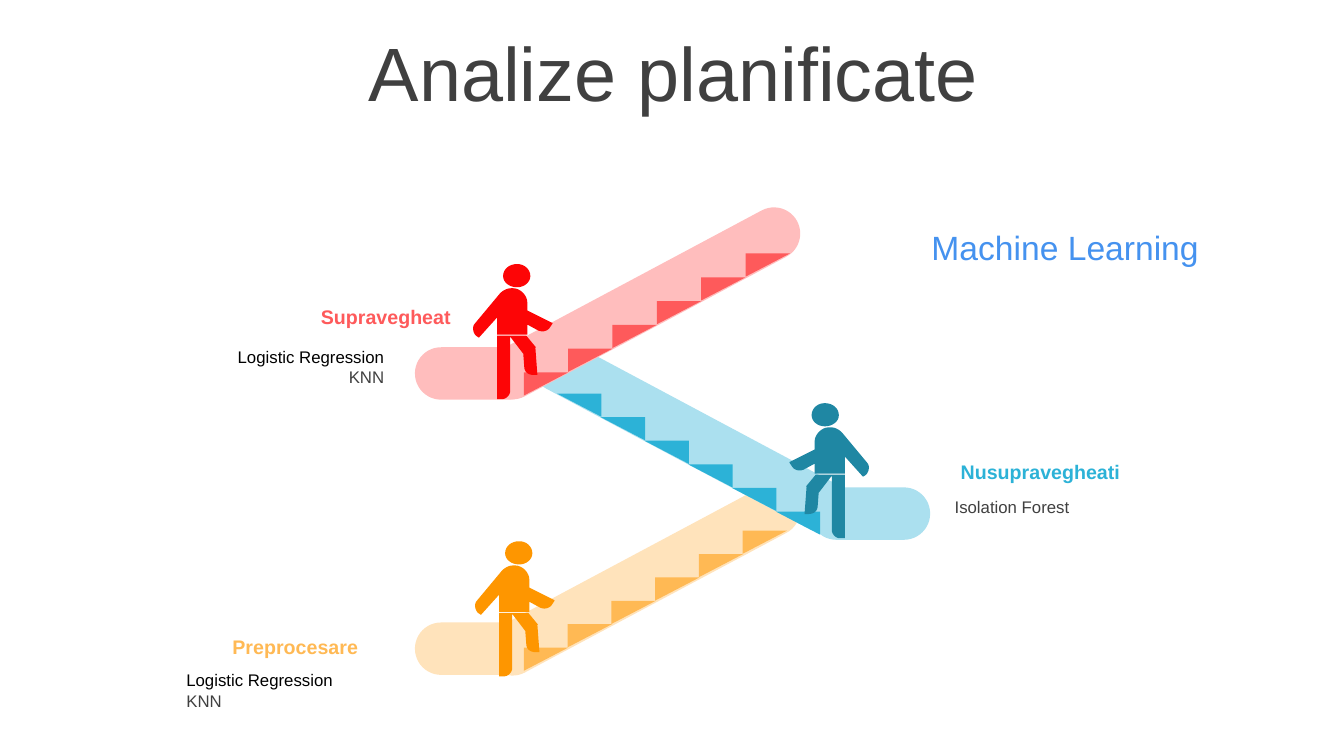
from pptx import Presentation
from pptx.dml.color import RGBColor
from pptx.enum.shapes import MSO_SHAPE
from pptx.enum.text import MSO_ANCHOR, PP_ALIGN
from pptx.util import Pt

SCALE = 9144
STEPS = 6
FIGURE_WIDTH = 79

# Each contour lists a start, then lines (x, y) and cubic curves (six numbers).
LEGS = [(24, 71), (53, 71), (62, 82), (63, 82, 62, 83, 62, 83), (64, 110),
        (60, 110), (55, 110, 51, 107, 51, 102), (50, 89), (37, 72),
        (37, 126), (37, 130, 33, 134, 29, 134), (24, 134)]
TORSO = [(38, 24), (40, 24), (47, 24, 54, 31, 54, 38), (54, 46), (78, 58),
         (79, 58, 79, 59, 79, 59), (77, 62), (75, 66, 70, 68, 65, 66),
         (54, 60), (54, 70), (24, 70), (24, 53), (6, 73), (3, 71),
         (0, 68, -1, 62, 2, 59), (27, 29), (30, 26, 34, 24, 38, 24)]
HEAD = [(44, 0), (51, 0, 57, 5, 57, 12), (57, 18, 51, 23, 44, 23),
        (36, 23, 30, 18, 30, 12), (30, 5, 36, 0, 44, 0)]


def px(n):
    """Turn px into EMU."""
    return round(n * SCALE)


def color(value):
    """Turn a hex string into a colour."""
    return RGBColor.from_string(value)


def flatten(contour, parts=8):
    """Return the points of a contour with its curves sampled."""
    points = [contour[0]]
    for seg in contour[1:]:
        if len(seg) == 2:
            points.append(seg)
            continue
        ctrl = [points[-1], seg[:2], seg[2:4], seg[4:]]
        for i in range(1, parts + 1):
            t = i / parts
            w = ((1 - t) ** 3, 3 * t * (1 - t) ** 2, 3 * t * t * (1 - t), t ** 3)
            points.append(tuple(sum(k * c[axis] for k, c in zip(w, ctrl))
                                for axis in (0, 1)))
    return points


class Deck:
    """Hold the style and the current slide."""

    font = "Arial"
    dark = "404040"

    def __init__(self, width, height):
        """Open a blank slide of the given size."""
        self.prs = Presentation()
        self.prs.slide_width, self.prs.slide_height = px(width), px(height)
        self.s = self.prs.slides.add_slide(self.prs.slide_layouts[6])

    def paint(self, sp, fill):
        """Give a shape a plain fill."""
        sp.shadow.inherit = False
        sp.fill.solid()
        sp.fill.fore_color.rgb = color(fill)
        sp.line.fill.background()

    def shape(self, kind, box, fill, rotation=0, flip=False):
        """Add a turned preset shape."""
        sp = self.s.shapes.add_shape(kind, *map(px, box))
        sp.rotation = rotation
        if flip:
            sp._element.spPr.xfrm.set("flipH", "1")
        self.paint(sp, fill)
        return sp

    def bar(self, box, fill, rotation):
        """Add a bar with fully round ends."""
        sp = self.shape(MSO_SHAPE.ROUNDED_RECTANGLE, box, fill, rotation)
        sp.adjustments[0] = 0.5

    def flight(self, landing, ramp, first, last, pale, strong, mirrored=False):
        """Add a landing, a ramp and the steps along it."""
        self.bar((*landing, 52, 119), pale, 90)
        self.bar((*ramp, 52, 346), pale, 298.1 if mirrored else 61.9)
        for i in range(STEPS):
            x, y = (a + (b - a) * i / (STEPS - 1) for a, b in zip(first, last))
            self.shape(MSO_SHAPE.RIGHT_TRIANGLE, (x, y, 23, 44), strong,
                       270 if mirrored else 90, mirrored)

    def climber(self, left, top, fill, mirrored=False):
        """Add a walking figure."""
        contours = [[(px(left + (FIGURE_WIDTH - x if mirrored else x)), px(top + y))
                     for x, y in flatten(part)] for part in (LEGS, TORSO, HEAD)]
        fb = self.s.shapes.build_freeform(*contours[0][0])
        for i, points in enumerate(contours):
            if i:
                fb.move_to(*points[0])
            fb.add_line_segments(points[1:], close=True)
        self.paint(fb.convert_to_shape(), fill)

    def text(self, box, lines, size, bold=False, anchor=MSO_ANCHOR.TOP, **layout):
        """Add a text box from (words, colour) lines."""
        tf = self.s.shapes.add_textbox(*map(px, box)).text_frame
        tf.word_wrap = True
        tf.vertical_anchor = anchor
        for i, (words, shade) in enumerate(lines):
            p = tf.add_paragraph() if i else tf.paragraphs[0]
            for name, value in layout.items():
                setattr(p, name, value)
            r = p.add_run()
            r.text = words
            style = {"name": self.font, "size": Pt(size), "bold": bold}
            for name, value in style.items():
                setattr(r.font, name, value)
            r.font.color.rgb = color(shade)


def main():
    """Build the slide."""
    deck = Deck(1333, 750)
    right = {"alignment": PP_ALIGN.RIGHT}
    methods = [("Logistic Regression", "000000"), ("KNN", deck.dark)]

    deck.text((35, 37, 1266, 79), [("Analize planificate", deck.dark)], 54,
              anchor=MSO_ANCHOR.MIDDLE, alignment=PP_ALIGN.CENTER,
              line_spacing=0.9, space_before=Pt(10))

    deck.flight((445, 584), (612, 402), (530, 632), (747, 516), "FFE3BB", "FFB954")
    deck.flight((837, 450), (658, 259), (780, 497), (563, 380), "ABE0EF", "2CB2D7",
                mirrored=True)
    deck.flight((445, 311), (612, 128), (530, 359), (750, 241), "FFBDBD", "FE5A5B")

    deck.climber(783, 400, "1F87A3", mirrored=True)
    deck.climber(469, 262, "FD0506")
    deck.climber(471, 537, "FE9600")

    deck.text((937, 488, 330, 50), [("Isolation Forest", deck.dark)], 12)
    deck.text((943, 451, 330, 34), [("Nusupravegheati", "2CB2D7")], 14, True)
    deck.text((35, 625, 330, 34), [("Preprocesare", "FFB954")], 14, True, **right)
    deck.text((61, 339, 330, 71), methods, 12, **right)
    deck.text((127, 298, 330, 34), [("Supravegheat", "FE5A5B")], 14, True, **right)
    deck.text((914, 220, 340, 50), [("Machine Learning", "4592EF")], 24,
              anchor=MSO_ANCHOR.MIDDLE)
    deck.text((175, 660, 330, 50), methods, 12)

    deck.prs.save("out.pptx")


if __name__ == "__main__":
    main()
